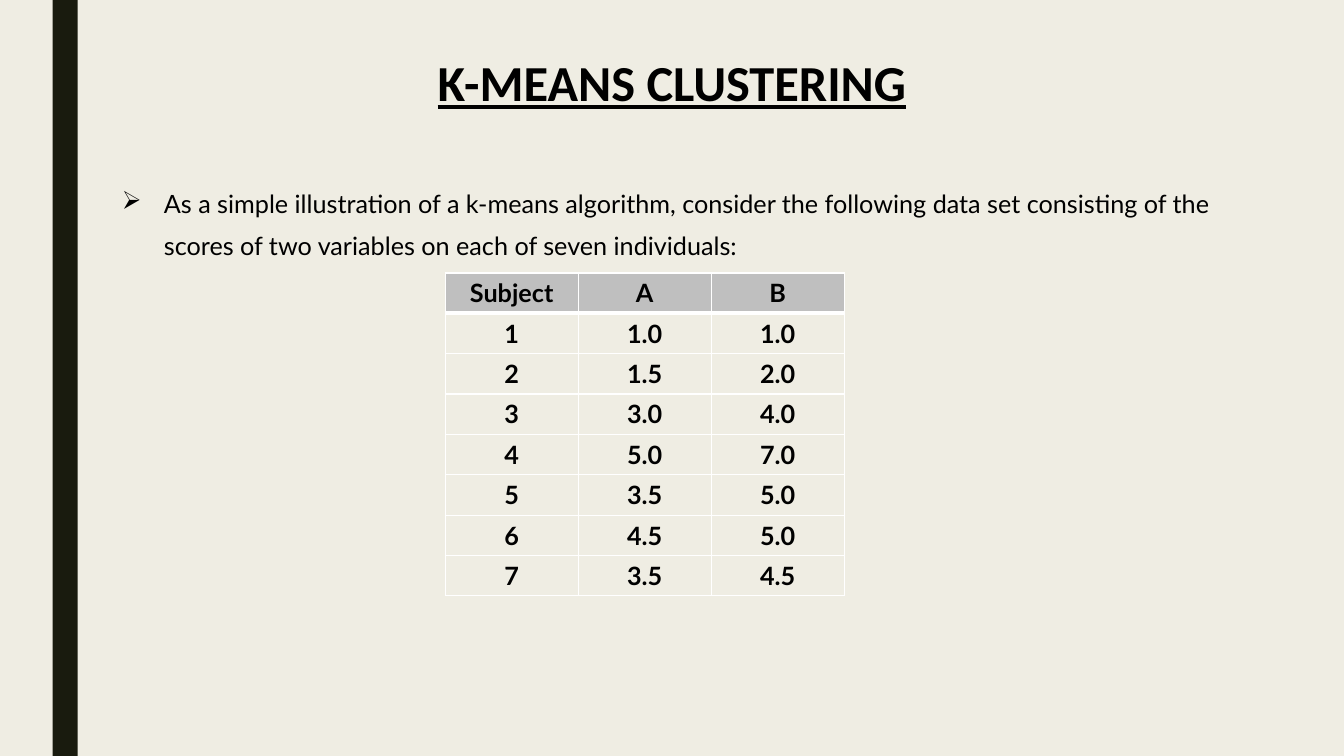
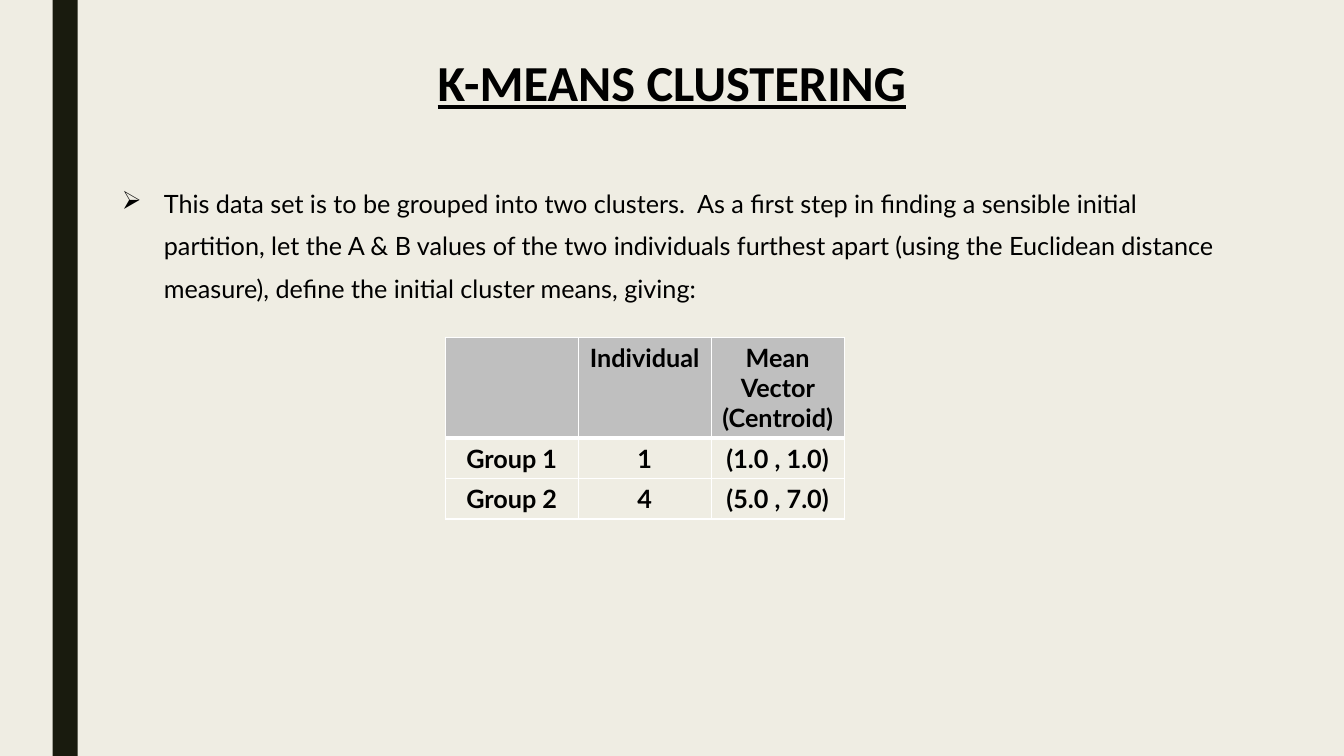
import pptx
import pptx.dml.color
import pptx.enum.shapes
import pptx.enum.text
import pptx.oxml
import pptx.oxml.ns
import pptx.util

Pt = pptx.util.Pt
ALIGN = pptx.enum.text.PP_ALIGN
ANCHOR = pptx.enum.text.MSO_ANCHOR

# Content
TITLE = "K-MEANS CLUSTERING"
SLIDES = [
    {
        "body": "As a simple illustration of a k-means algorithm, consider the following "
                "data set consisting of the scores of two variables on each of seven "
                "individuals:",
        "table_top": 195,
        "header_height": 28.8,
        "rows": [
            ("Subject", "A", "B"),
            ("1", "1.0", "1.0"),
            ("2", "1.5", "2.0"),
            ("3", "3.0", "4.0"),
            ("4", "5.0", "7.0"),
            ("5", "3.5", "5.0"),
            ("6", "4.5", "5.0"),
            ("7", "3.5", "4.5"),
        ],
    },
    {
        "body": "This data set is to be grouped into two clusters.  As a first step in "
                "finding a sensible initial partition, let the A & B values of the two "
                "individuals furthest apart (using the Euclidean distance measure), "
                "define the initial cluster means, giving:",
        "table_top": 241,
        "header_height": 72,
        "rows": [
            ("", "Individual", "Mean Vector (Centroid)"),
            ("Group 1", "1", "(1.0 , 1.0)"),
            ("Group 2", "4", "(5.0 , 7.0)"),
        ],
    },
]

# Shared style
PAPER, BAND, INK, HEADER, GRID = "EFEDE3", "191B0E", "000000", "BFBFBF", "FFFFFF"
TITLE_FONT, BODY_FONT = "Calibri", "Lato"
WIDTH, HEIGHT = 960, 540
TABLE_LEFT, COLUMN_WIDTH, ROW_HEIGHT = 318, 95, 28.8
INDENT = 30


def color(value):
    return pptx.dml.color.RGBColor.from_string(value)


def style_runs(para, font, size, bold=False, underline=False):
    for span in para.runs:
        span.font.name = font
        span.font.size = Pt(size)
        span.font.bold = bold
        span.font.underline = underline
        span.font.color.rgb = color(INK)


def add_text(page, text, left, top, width, height, anchor):
    box = page.shapes.add_textbox(Pt(left), Pt(top), Pt(width), Pt(height))
    frame = box.text_frame
    frame.text = text
    frame.word_wrap = True
    frame.vertical_anchor = anchor
    return frame.paragraphs[0]


def add_band(page):
    band = page.shapes.add_shape(pptx.enum.shapes.MSO_SHAPE.RECTANGLE,
                                 Pt(37.5), Pt(0), Pt(18), Pt(HEIGHT))
    band.shadow.inherit = False
    band.fill.solid()
    band.fill.fore_color.rgb = color(BAND)
    band.line.fill.background()


def add_title(page):
    para = add_text(page, TITLE, 72, 0, 816, 122.4, ANCHOR.MIDDLE)
    para.alignment = ALIGN.CENTER
    para.line_spacing = 0.9
    style_runs(para, TITLE_FONT, 36, bold=True, underline=True)


def add_body(page, text):
    para = add_text(page, text, 80, 122.4, 816, 380, ANCHOR.TOP)
    para.line_spacing = 1.4
    para.space_before = Pt(10)
    para.space_after = Pt(2)
    style_runs(para, BODY_FONT, 18)
    # Arrow bullet with a hanging indent
    props = para._p.get_or_add_pPr()
    props.set("marL", str(Pt(INDENT)))
    props.set("indent", str(-Pt(INDENT)))
    bullet = pptx.oxml.parse_xml(
        f'<a:buChar {pptx.oxml.ns.nsdecls("a")} char="➢"/>')
    props.append(bullet)


def set_borders(cell, top, bottom):
    props = cell._tc.get_or_add_tcPr()
    for side, weight in (("L", 1), ("R", 1), ("T", top), ("B", bottom)):
        props.append(pptx.oxml.parse_xml(
            f'<a:ln{side} {pptx.oxml.ns.nsdecls("a")} w="{Pt(weight)}">'
            f'<a:solidFill><a:srgbClr val="{GRID}"/></a:solidFill></a:ln{side}>'))


def add_grid(page, rows, top, header_height):
    columns = len(rows[0])
    height = header_height + ROW_HEIGHT * (len(rows) - 1)
    table = page.shapes.add_table(len(rows), columns, Pt(TABLE_LEFT), Pt(top),
                                  Pt(COLUMN_WIDTH * columns), Pt(height)).table
    table.horz_banding = False
    for column in table.columns:
        column.width = Pt(COLUMN_WIDTH)
    for r, row in enumerate(rows):
        table.rows[r].height = Pt(ROW_HEIGHT if r else header_height)
        for c, text in enumerate(row):
            cell = table.cell(r, c)
            # The rule between the header and the first row is thicker
            set_borders(cell, top=3 if r == 1 else 1, bottom=1 if r else 3)
            if r:
                cell.fill.background()
            else:
                cell.fill.solid()
                cell.fill.fore_color.rgb = color(HEADER)
            if text:
                cell.text_frame.text = text
                para = cell.text_frame.paragraphs[0]
                para.alignment = ALIGN.CENTER
                style_runs(para, BODY_FONT, 18, bold=True)


def main():
    deck = pptx.Presentation()
    deck.slide_width, deck.slide_height = Pt(WIDTH), Pt(HEIGHT)
    background = deck.slide_master.background.fill
    background.solid()
    background.fore_color.rgb = color(PAPER)
    for content in SLIDES:
        page = deck.slides.add_slide(deck.slide_layouts[6])
        add_band(page)
        add_title(page)
        add_body(page, content["body"])
        add_grid(page, content["rows"], content["table_top"], content["header_height"])
    deck.save("out.pptx")


if __name__ == "__main__":
    main()
